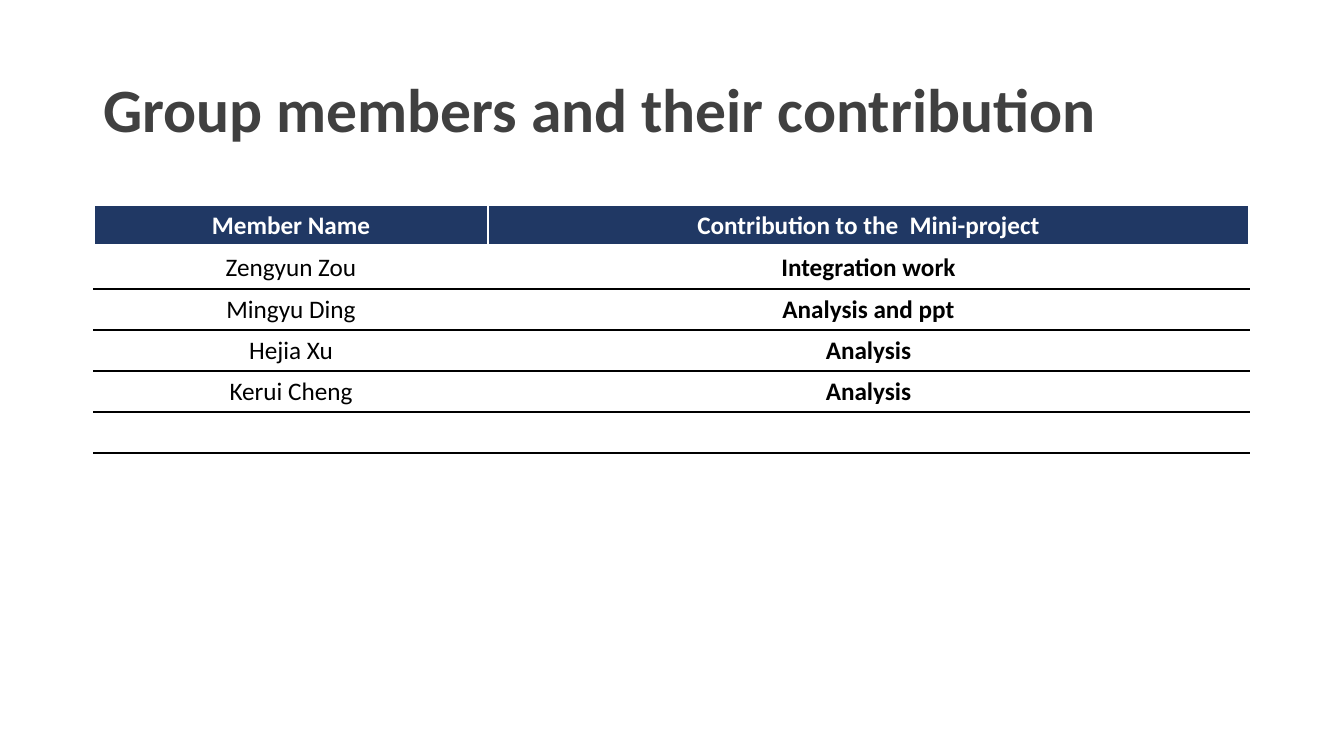
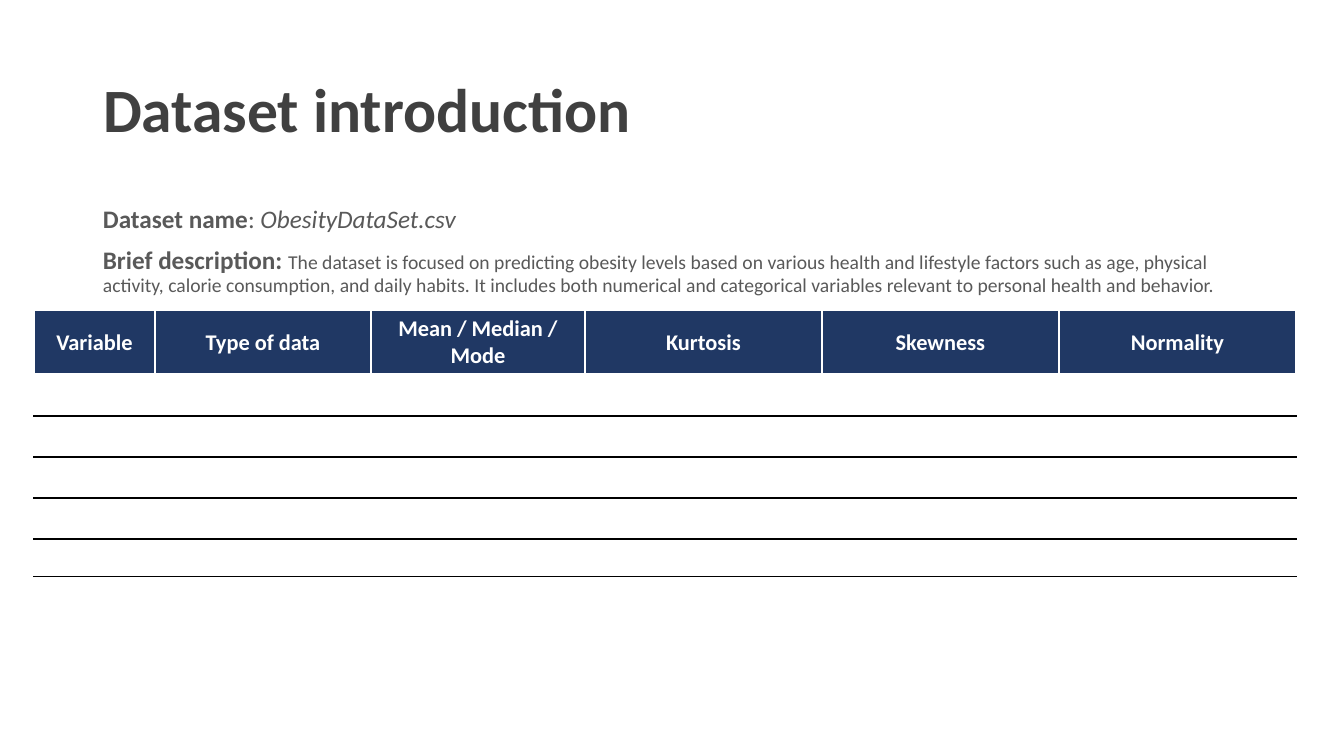
from dataclasses import dataclass

from lxml import etree
from pptx import Presentation
from pptx.dml.color import RGBColor
from pptx.enum.text import MSO_ANCHOR, MSO_AUTO_SIZE, PP_ALIGN
from pptx.oxml.ns import qn
from pptx.util import Emu, Pt

LEFT, CENTER = PP_ALIGN.LEFT, PP_ALIGN.CENTER
MIDDLE = MSO_ANCHOR.MIDDLE
NO_AUTOFIT = MSO_AUTO_SIZE.NONE

PX_PER_INCH = 100.8
SLIDE_WIDTH, SLIDE_HEIGHT = 1344, 756
TITLE_ONLY_LAYOUT = 5


@dataclass(frozen=True)
class Theme:
    font: str = "Calibri"
    title_color: str = "404040"
    text_color: str = "595959"
    header_fill: str = "203864"
    white: str = "FFFFFF"
    black: str = "000000"
    title_size: int = 44
    body_size: int = 18
    small_header_size: int = 16
    detail_size: int = 14
    line_spacing: float = 0.9
    paragraph_gap: int = 10
    thin_line: int = 1
    thick_line: int = 3


THEME = Theme()


def px(length):
    return Emu(round(length * 914400 / PX_PER_INCH))


def add_text(paragraph, text, *, size, color, bold=False, italic=False):
    """Append one formatted run to a paragraph."""
    run = paragraph.add_run()
    run.text = text
    font = run.font
    font.name, font.size = THEME.font, Pt(size)
    font.bold, font.italic = bold, italic
    font.color.rgb = RGBColor.from_string(color)


def set_empty_size(paragraph, size):
    """Set the type size that gives an empty paragraph its height."""
    end = etree.SubElement(paragraph._p, qn("a:endParaRPr"))
    end.set("sz", str(size * 100))


def set_borders(cell, **edges):
    """Draw cell edges given as name=(color, width in points)."""
    properties = cell._tc.get_or_add_tcPr()
    for index, (edge, (color, width)) in enumerate(edges.items()):
        line = etree.Element(qn(f"a:{edge}"), w=str(Pt(width)))
        fill = etree.SubElement(line, qn("a:solidFill"))
        etree.SubElement(fill, qn("a:srgbClr"), val=color)
        properties.insert(index, line)


class Deck:
    def __init__(self, theme):
        self.theme = theme
        self.presentation = Presentation()
        self.presentation.slide_width = px(SLIDE_WIDTH)
        self.presentation.slide_height = px(SLIDE_HEIGHT)
        self.slide = None

    def add_slide(self, title):
        layout = self.presentation.slide_layouts[TITLE_ONLY_LAYOUT]
        self.slide = self.presentation.slides.add_slide(layout)
        shape = self.slide.shapes.title
        shape.left, shape.top = px(93), px(40)
        shape.width, shape.height = px(1159), px(146)
        frame = shape.text_frame
        frame.auto_size, frame.vertical_anchor = NO_AUTOFIT, MIDDLE
        paragraph = frame.paragraphs[0]
        paragraph.alignment = LEFT
        paragraph.line_spacing = self.theme.line_spacing
        add_text(paragraph, title, size=self.theme.title_size,
                 color=self.theme.title_color, bold=True)

    def add_body(self, left, top, width, height, paragraphs):
        """Each paragraph is a list of (text, format) pairs."""
        box = self.slide.shapes.add_textbox(
            px(left), px(top), px(width), px(height))
        frame = box.text_frame
        frame.word_wrap = True
        for index, runs in enumerate(paragraphs):
            paragraph = frame.add_paragraph() if index else frame.paragraphs[0]
            paragraph.line_spacing = self.theme.line_spacing
            paragraph.space_before = Pt(self.theme.paragraph_gap if index else 0)
            for text, style in runs:
                add_text(paragraph, text, **{"size": self.theme.body_size,
                                             "color": self.theme.text_color,
                                             **style})

    def add_table(self, left, top, widths, heights, rows, *, header_size,
                  last_row_size):
        """The first row is the header; the last column is bold."""
        shape = self.slide.shapes.add_table(
            len(heights), len(widths), px(left), px(top),
            px(sum(widths)), px(sum(heights)))
        table = shape.table
        table.horz_banding = False
        for column, width in zip(table.columns, widths):
            column.width = px(width)
        for row, height in zip(table.rows, heights):
            row.height = px(height)
        last_row, last_column = len(heights) - 1, len(widths) - 1
        for row_index, texts in enumerate(rows):
            for column_index, text in enumerate(texts):
                cell = table.cell(row_index, column_index)
                self.format_cell(cell, row_index)
                paragraph = cell.text_frame.paragraphs[0]
                paragraph.alignment = CENTER
                header = row_index == 0
                if text:
                    add_text(paragraph, text,
                             size=header_size if header else self.theme.body_size,
                             color=self.theme.white if header else self.theme.black,
                             bold=header or column_index == last_column)
                else:
                    set_empty_size(paragraph, last_row_size
                                   if row_index == last_row
                                   else self.theme.body_size)

    def format_cell(self, cell, row_index):
        theme = self.theme
        white = (theme.white, theme.thin_line)
        black = (theme.black, theme.thin_line)
        header_edge = (theme.white, theme.thick_line)
        header = row_index == 0
        tops = [white, header_edge]
        cell.vertical_anchor = MIDDLE
        cell.fill.solid()
        cell.fill.fore_color.rgb = RGBColor.from_string(
            theme.header_fill if header else theme.white)
        set_borders(cell, lnL=white, lnR=white,
                    lnT=tops[row_index] if row_index < len(tops) else black,
                    lnB=header_edge if header else black)


def main():
    deck = Deck(THEME)

    # Group members
    deck.add_slide("Group members and their contribution")
    deck.add_table(
        94, 205, [394, 761], [41, 43] + [41] * 4,
        [("Member Name", "Contribution to the  Mini-project"),
         ("Zengyun Zou", "Integration work"),
         ("Mingyu Ding", "Analysis and ppt"),
         ("Hejia Xu", "Analysis"),
         ("Kerui Cheng", "Analysis"),
         ("", "")],
        header_size=THEME.body_size, last_row_size=THEME.body_size)

    # Dataset table and description
    deck.add_slide("Dataset introduction")
    headings = ("Variable", "Type of data", "Mean / Median / Mode",
                "Kurtosis", "Skewness", "Normality")
    empty_row = ("",) * len(headings)
    deck.add_table(
        34, 310, [121, 216, 214] + [237] * 3, [65] + [41] * 4 + [37],
        [headings] + [empty_row] * 5,
        header_size=THEME.small_header_size,
        last_row_size=THEME.small_header_size)
    deck.add_body(93, 202, 1159, 514, [
        [("Dataset name", {"bold": True}),
         (": ", {}),
         ("ObesityDataSet.csv", {"italic": True})],
        [("Brief description: ", {"bold": True}),
         ("The dataset is focused on predicting obesity levels based on "
          "various health and lifestyle factors such as age, physical "
          "activity, calorie consumption, and daily habits. It includes both "
          "numerical and categorical variables relevant to personal health "
          "and behavior.", {"size": THEME.detail_size})],
    ])

    deck.presentation.save("out.pptx")


if __name__ == "__main__":
    main()
